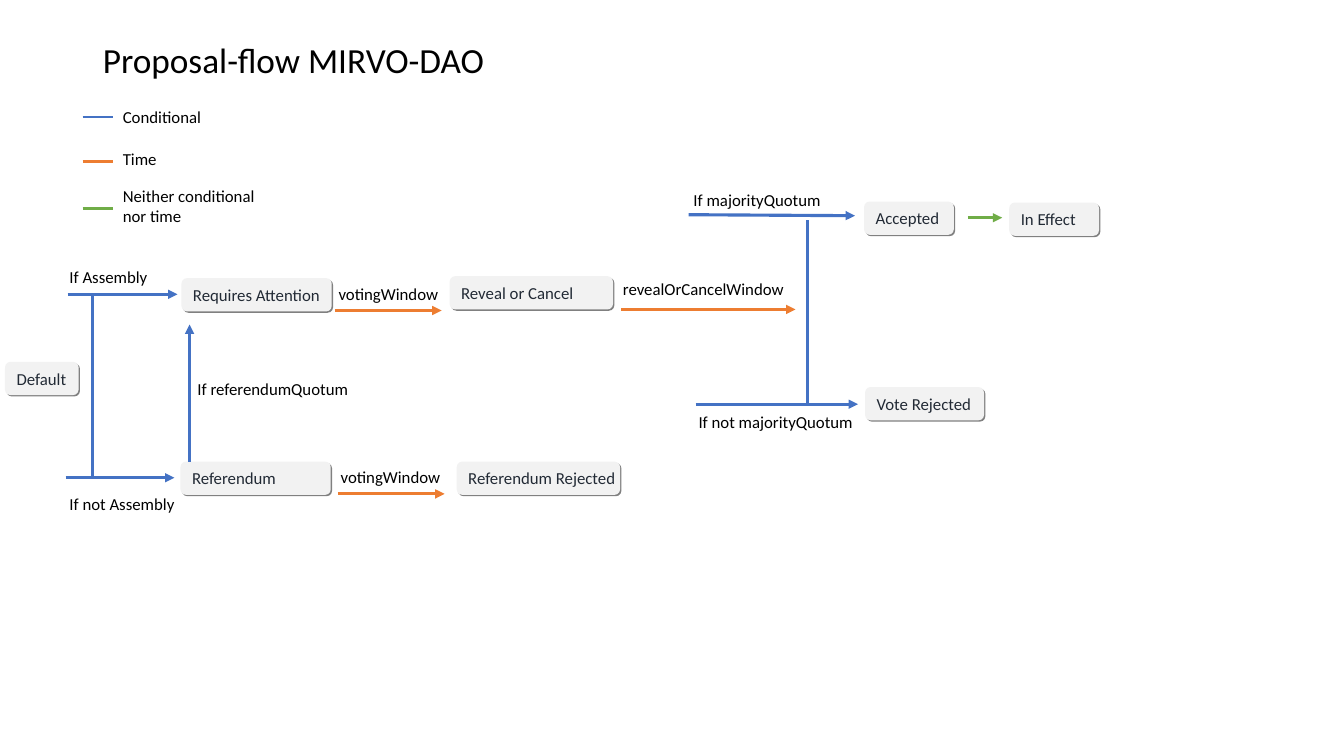
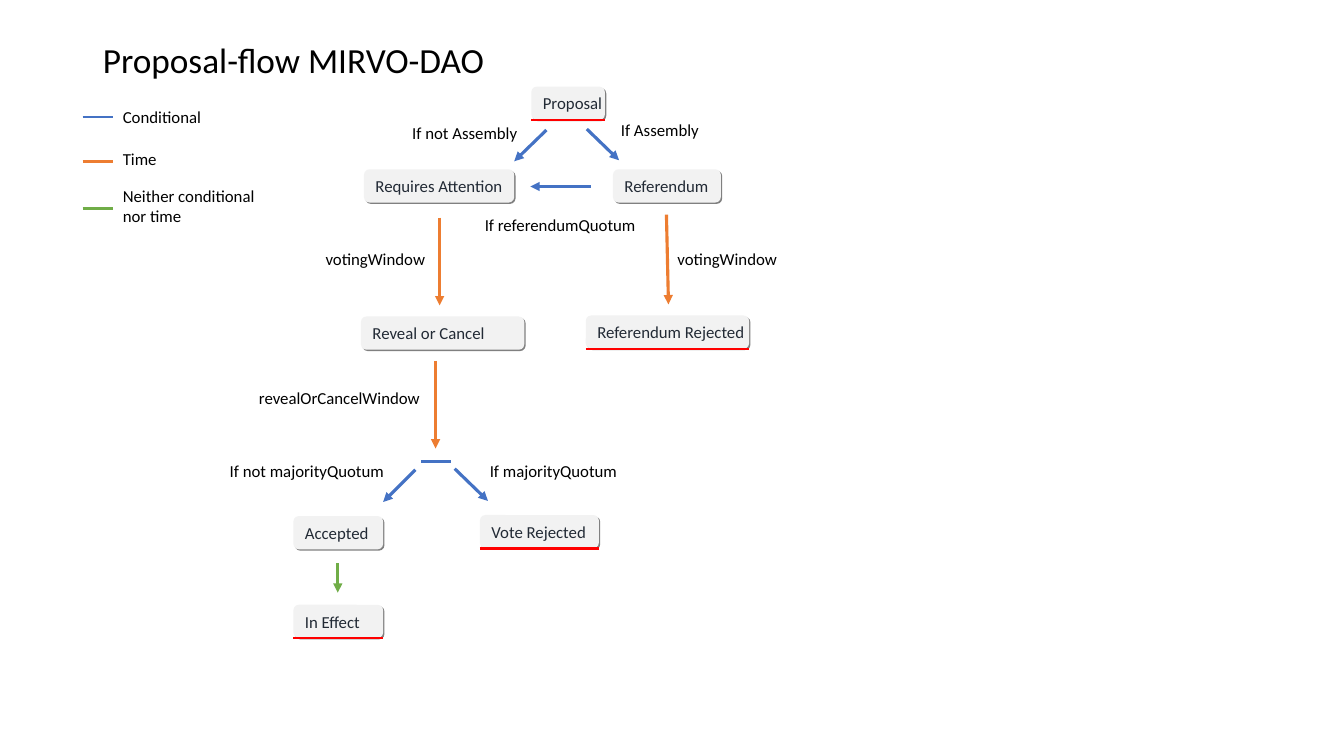
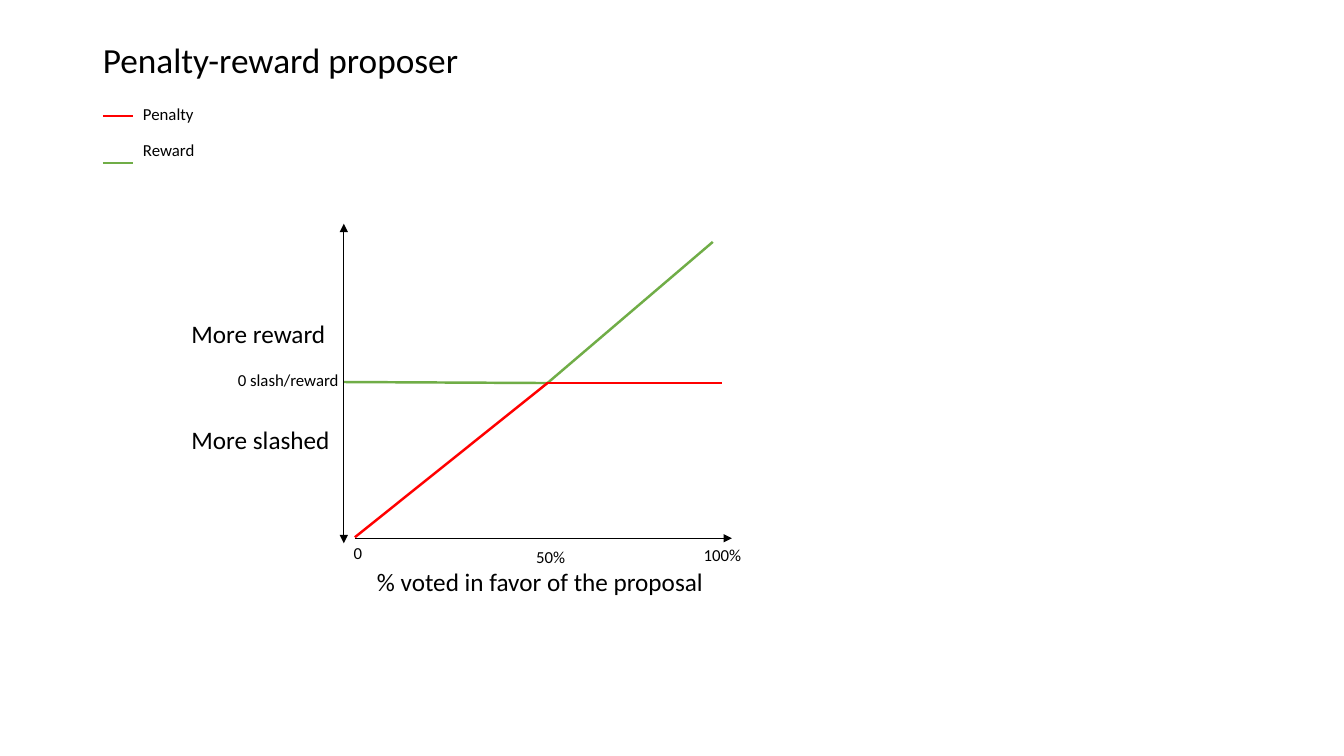
import dataclasses
import pptx
import pptx.dml.color
import pptx.enum.shapes
import pptx.enum.text
import pptx.oxml.ns
import pptx.util
from lxml import etree

WIDE, HIGH = 13.33, 7.5
CELL = HIGH / 75
FONT = "Calibri"
BLACK, INK, CHIP, SHADE = "000000", "222A35", "F2F2F2", "808080"
BLUE, ORANGE, GREEN, RED = "4472C4", "ED7D31", "70AD47", "FF0000"
THIN, BAR, ARROW = 0.5, 1.75, 2.25
TALL = 3.3
FLOW = "Proposal-flow MIRVO-DAO"
FLOW_KEY = [
    (BLUE, "Conditional", 1.6, 0.1),
    (ORANGE, "Time", 6, 4.3),
    (GREEN, "Neither conditional nor time", 10.7, 7.9),
]
VOTE_KEY = [(RED, "Penalty", 1.7, 0), (GREEN, "Reward", 6.4, 3.6)]


def paint(color):
    """Turn a hex string into a colour."""
    return pptx.dml.color.RGBColor.from_string(color)


def cells(count):
    """Turn grid cells into a length."""
    return pptx.util.Inches(count * CELL)


def add_xml(parent, tag, **attrs):
    """Append a drawing element to a parent."""
    return etree.SubElement(parent, pptx.oxml.ns.qn(tag), **attrs)


def style(frame, text, size, color):
    """Fill a text frame with one left-aligned paragraph."""
    frame.text = text
    para = frame.paragraphs[0]
    para.alignment = pptx.enum.text.PP_ALIGN.LEFT
    para.font.name = FONT
    para.font.size = pptx.util.Pt(size)
    para.font.color.rgb = paint(color)
    return para


@dataclasses.dataclass
class Area:
    """A region of a slide, with its corner given in grid cells."""
    slide: object
    left: float
    top: float

    def spot(self, x, y):
        """Place a point of the region on the slide."""
        return cells(self.left + x), cells(self.top + y)

    def line(self, ends, color, width=BAR, heads=()):
        """Draw a line, with arrowheads at the named ends."""
        kind = pptx.enum.shapes.MSO_CONNECTOR.STRAIGHT
        link = self.slide.shapes.add_connector(
            kind, *self.spot(*ends[:2]), *self.spot(*ends[2:]))
        link.line.color.rgb = paint(color)
        link.line.width = pptx.util.Pt(width)
        stroke = link.line._get_or_add_ln()
        for head in heads:
            add_xml(stroke, head, type="triangle")
        add_xml(link._element.spPr, "a:effectLst")

    def arrows(self, color, *paths):
        """Draw arrows of one colour."""
        for ends in paths:
            self.line(ends, color, ARROW, ["a:tailEnd"])

    def labels(self, *items, size=12):
        """Write labels given as x, y, width and text."""
        for x, y, width, text in items:
            box = self.slide.shapes.add_textbox(
                *self.spot(x, y), cells(width), cells(size / 6 + 1))
            box.text_frame.word_wrap = True
            style(box.text_frame, text, size, BLACK)

    def nodes(self, *items, final=False):
        """Draw states given as x, y, width and name, underlined if final."""
        for x, y, width, name in items:
            kind = pptx.enum.shapes.MSO_SHAPE.ROUNDED_RECTANGLE
            node = self.slide.shapes.add_shape(
                kind, *self.spot(x, y), cells(width), cells(TALL))
            node.fill.solid()
            node.fill.fore_color.rgb = paint(CHIP)
            node.line.fill.background()
            node.shadow.inherit = False
            effect = node._element.spPr.find(pptx.oxml.ns.qn("a:effectLst"))
            shadow = add_xml(effect, "a:outerShdw", blurRad="0", dist="17780",
                             dir="2700000", algn="tl", rotWithShape="0")
            add_xml(shadow, "a:srgbClr", val=SHADE)
            frame = node.text_frame
            frame.word_wrap = False
            frame.vertical_anchor = pptx.enum.text.MSO_ANCHOR.MIDDLE
            frame.margin_top = frame.margin_bottom = cells(1)
            frame.margin_left = frame.margin_right = cells(1)
            style(frame, name, 12, INK)
            if final:
                self.line((x, y + TALL, x + width, y + TALL), RED)


def start(deck, text):
    """Add a slide with a formatted title."""
    slide = deck.slides.add_slide(deck.slide_layouts[5])
    title = slide.shapes.title
    title.left, title.top = cells(9.2), cells(4)
    title.width, title.height = cells(115), cells(4.3)
    frame = title.text_frame
    frame.word_wrap = True
    frame.auto_size = pptx.enum.text.MSO_AUTO_SIZE.NONE
    frame.vertical_anchor = pptx.enum.text.MSO_ANCHOR.MIDDLE
    style(frame, text, 25.2, BLACK).line_spacing = 0.9
    return slide


def legend(area, items):
    """Draw the colour key."""
    for color, text, row, top in items:
        area.line((0, row, 3, row), color)
        area.labels((3, top, 15.4, text))


def voting(area):
    """Draw the lanes from the default state to the reveal."""
    area.nodes((0.5, 9.9, 7.3, "Default"),
               (18, 1.6, 14.9, "Requires Attention"),
               (17.9, 19.8, 14.9, "Referendum"),
               (44.6, 1.4, 16.2, "Reveal or Cancel"),
               (45.3, 19.8, 16.2, "Referendum Rejected"))
    area.line((9.2, 21.4, 9.2, 3.2), BLUE)
    area.arrows(BLUE, (6.7, 3.2, 17.6, 3.2), (6.5, 21.4, 17.3, 21.4),
                (18.8, 19.8, 18.8, 6.2))
    area.arrows(ORANGE, (33.2, 4.8, 43.8, 4.8), (33.5, 23, 44.1, 23),
                (61.6, 4.7, 78.9, 4.7))
    area.labels((5.9, 0, 11, "If Assembly"),
                (5.9, 22.5, 12.7, "If not Assembly"),
                (18.6, 11.1, 25, "If referendumQuotum"),
                (32.6, 1.7, 25, "votingWindow"),
                (32.8, 19.8, 12.5, "votingWindow"),
                (60.8, 1.2, 25, "revealOrCancelWindow"))


def outcome(area):
    """Draw the split into accepted and rejected votes."""
    area.nodes((17.9, 2, 8.9, "Accepted"),
               (32.3, 2.1, 8.9, "In Effect"),
               (18, 20.4, 11.8, "Vote Rejected"))
    area.line((12.3, 22.1, 12.3, 3.8), BLUE)
    area.arrows(BLUE, (0.5, 3.3, 17, 3.4), (1.2, 22.1, 17.3, 22.1))
    area.arrows(GREEN, (28.2, 3.6, 31.6, 3.6))
    area.labels((0, 0.3, 17.4, "If majorityQuotum"),
                (0.5, 22.4, 18, "If not majorityQuotum"))


def tree(area):
    """Draw the tree from the proposal to the reveal."""
    area.nodes((28.7, 0.6, 7.3, "Proposal"),
               (34.1, 23.3, 16.2, "Referendum Rejected"), final=True)
    area.nodes((12.1, 8.8, 14.9, "Requires Attention"),
               (36.8, 8.8, 10.7, "Referendum"),
               (11.8, 23.4, 16.2, "Reveal or Cancel"))
    area.arrows(BLUE, (34.2, 4.8, 37.4, 7.9), (30.2, 4.9, 27, 8),
                (34.6, 10.5, 28.6, 10.5))
    area.arrows(ORANGE, (19.6, 13.6, 19.6, 22.3), (42.1, 13.3, 42.3, 22.2),
                (19.2, 27.8, 19.2, 36.5))
    area.labels((36.6, 3.4, 11, "If Assembly"),
                (15.9, 3.7, 12.7, "If not Assembly"),
                (23.1, 12.8, 18, "If referendumQuotum"),
                (7.3, 16.2, 12.5, "votingWindow"),
                (42.2, 16.2, 12.5, "votingWindow"),
                (0.7, 30, 25, "revealOrCancelWindow"))


def branches(area):
    """Draw the final branches of the tree."""
    area.nodes((7.3, 6.2, 8.9, "Accepted"))
    area.nodes((25.8, 6.1, 11.8, "Vote Rejected"),
               (7.3, 15, 8.9, "In Effect"), final=True)
    area.line((20, 0.8, 22.9, 0.8), BLUE)
    area.arrows(BLUE, (23.3, 1.5, 26.6, 4.7), (19.4, 1.6, 16.2, 4.8))
    area.arrows(GREEN, (11.7, 10.9, 11.7, 13.8))
    area.labels((25.8, 0.2, 15.4, "If majorityQuotum"),
                (0, 0.2, 20, "If not majorityQuotum"))


def graph(area):
    """Draw penalty and reward against the share of votes."""
    axis, zero, half, base = 16.1, 16, 36.3, 31.4
    first = axis + 1.1
    area.line((half, zero, 52.7, 2), GREEN)
    area.line((axis, zero - 0.1, half, zero), GREEN)
    area.line((first, base - 0.1, half, zero), RED)
    area.line((half, zero, 53.6, zero), RED)
    area.line((first, base, 54.6, base), BLACK, THIN, ["a:tailEnd"])
    area.line((axis, 0.2, axis, base + 0.5), BLACK, THIN,
              ["a:headEnd", "a:tailEnd"])
    area.labels((axis, base, 7.6, "0"),
                (34.2, base + 0.3, 7.6, "50%"),
                (50.8, base + 0.2, 7.6, "100%"),
                (4.6, 14.2, 22.8, "0 slash/reward"))
    area.labels((0, 9.1, axis, "More reward"),
                (0, 19.6, axis, "More slashed"),
                (18.4, 33.7, 36.9, "% voted in favor of the proposal"),
                size=18)


def main():
    """Build and save the deck."""
    deck = pptx.Presentation()
    deck.slide_width = pptx.util.Inches(WIDE)
    deck.slide_height = pptx.util.Inches(HIGH)

    lanes = start(deck, FLOW)
    legend(Area(lanes, 8.2, 10), FLOW_KEY)
    voting(Area(lanes, 0, 26))
    outcome(Area(lanes, 67.8, 18))

    steps = start(deck, FLOW)
    legend(Area(steps, 8.2, 10), FLOW_KEY)
    tree(Area(steps, 24, 8))
    branches(Area(steps, 21.8, 45))

    payoff = start(deck, "Penalty-reward proposer")
    legend(Area(payoff, 10.2, 9.8), VOTE_KEY)
    graph(Area(payoff, 18, 22))

    deck.save("out.pptx")


main()
